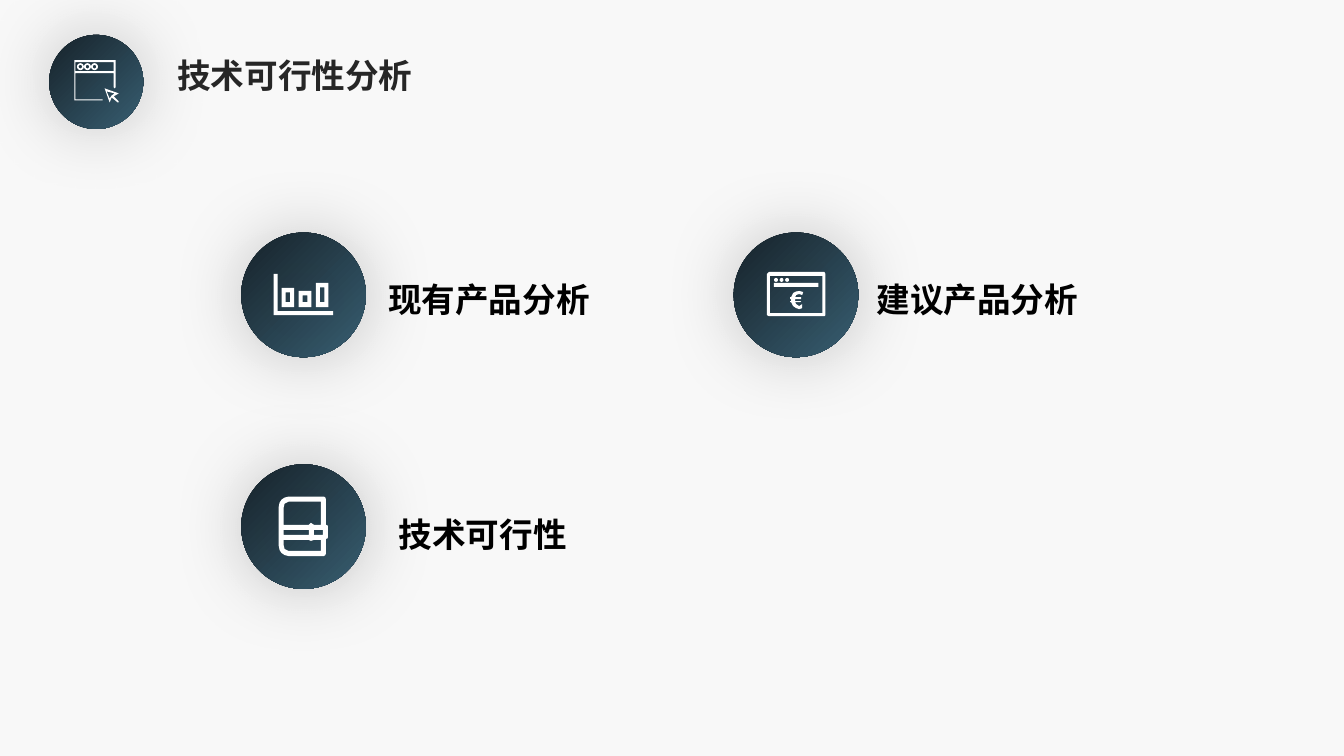
from math import cos, pi, sin

from lxml.etree import SubElement
from pptx import Presentation
from pptx.dml.color import RGBColor
from pptx.enum.shapes import MSO_SHAPE
from pptx.enum.text import MSO_AUTO_SIZE
from pptx.oxml.ns import qn
from pptx.util import Cm, Pt

FONT = "Noto Sans CJK SC"
COLORS = {
    "background": "F8F8F8",
    "disc start": "17232B",
    "disc end": "395F72",
    "icon": "FFFFFF",
    "title": "262626",
    "label": "000000",
    "shadow": "000000",
}
ICON_STEP = Cm(0.0254)  # one unit of the icon outlines


def rectangle(left, top, right, bottom):
    return [(left, top), (right, top), (right, bottom), (left, bottom)]


def circle(x, y, radius, corners=24):
    angles = [2 * pi * index / corners for index in range(corners)]
    return [(x + radius * cos(angle), y + radius * sin(angle)) for angle in angles]


# Outlines are measured from the top left of the disc; inner ones cut holes.
browser_icon = [
    [(25, 25), (66, 25), (66, 52), (65, 53), (64, 52), (64, 38), (26, 38),
     (26, 64), (53, 64), (53, 65), (25, 65)],
    rectangle(26, 27, 64, 36),
    [(55, 53), (69, 58), (64, 61), (69, 66), (69, 67), (68, 67), (62, 62), (60, 67)],
    [(57, 56), (60, 63), (62, 60), (65, 58)],
    *[circle(x, 31.5, radius) for x in (31, 38, 45) for radius in (3.4, 1.7)],
]
chart_icon = [
    [(32, 41), (36, 41), (36, 78), (91, 78), (91, 82), (32, 82)],
]
for bar_left, bar_top in ((40, 55), (57, 58), (74, 50)):
    chart_icon.append(rectangle(bar_left, bar_top, bar_left + 12.5, 74))
    chart_icon.append(rectangle(bar_left + 4, bar_top + 4.5, bar_left + 8.5, 69))
book_icon = [
    [(84, 60), (84, 35), (83.5, 33), (82, 32), (47, 32), (43, 33), (40, 35), (38, 38),
     (37, 43), (37, 80), (38, 85), (40, 88), (43, 90), (47, 91), (82, 91),
     (83.5, 90), (84, 88), (84, 74), (85.5, 73.5), (86, 72), (86, 62), (85.5, 60.5)],
    [(42, 43), (43, 39), (47, 37), (79, 37), (79, 60), (72, 60), (69, 58),
     (67, 60), (42, 60)],
    rectangle(42, 65, 67, 70),
    [(79, 86), (47, 86), (43, 84), (42, 80), (42, 75), (67, 75), (69, 76),
     (72, 75), (79, 75)],
    rectangle(72, 65, 81, 70),
]
euro_icon = [
    [(35, 39), (90, 39), (91, 41), (91, 82), (90, 83), (35, 83), (33, 82), (33, 41)],
    rectangle(36, 43, 88, 80),
    rectangle(40, 50, 84, 54),
    *[circle(x, 47, 1.9) for x in (42, 47.5, 53)],
    [(65, 58), (69, 59), (68, 62), (65, 61), (62, 62), (61, 64), (67, 64), (67, 66),
     (61, 66), (61, 68), (67, 68), (66, 69), (61, 69), (62, 71), (65, 73), (68, 71),
     (68, 75), (65, 76), (62, 75), (59, 73), (57, 69), (56, 69), (56, 68), (57, 68),
     (57, 66), (56, 66), (56, 64), (57, 64), (59, 60), (62, 58.5)],
]

deck = Presentation()
deck.slide_width, deck.slide_height = Cm(33.87), Cm(19.05)
page = deck.slides.add_slide(deck.slide_layouts[6])
page.background.fill.solid()
page.background.fill.fore_color.rgb = RGBColor.from_string(COLORS["background"])

# Left, top and diameter of each disc in centimetres, with its icon
badges = [
    (1.24, 0.88, 2.37, browser_icon),
    (6.08, 5.86, 3.14, chart_icon),
    (6.08, 11.7, 3.14, book_icon),
    (18.49, 5.86, 3.14, euro_icon),
]
for left, top, diameter, outlines in badges:
    badge = page.shapes.add_group_shape()
    disc = badge.shapes.add_shape(
        MSO_SHAPE.OVAL, Cm(left), Cm(top), Cm(diameter), Cm(diameter))
    disc.fill.gradient()
    disc.fill.gradient_angle = 315
    for stop, name in zip(disc.fill.gradient_stops, ("disc start", "disc end")):
        stop.color.rgb = RGBColor.from_string(COLORS[name])

    builder = None
    for outline in outlines:
        points = [(x * ICON_STEP, y * ICON_STEP) for x, y in outline]
        if builder is None:
            builder = badge.shapes.build_freeform(*points[0])
        else:
            builder.move_to(*points[0])
        builder.add_line_segments(points[1:], close=True)
    icon = builder.convert_to_shape(Cm(left), Cm(top))
    icon.fill.solid()
    icon.fill.fore_color.rgb = RGBColor.from_string(COLORS["icon"])

    for shape in (disc, icon):
        shape.line.fill.background()
        shape.shadow.inherit = False
        effects = shape._element.spPr.find(qn("a:effectLst"))
        shadow = SubElement(effects, qn("a:outerShdw"), blurRad=str(Pt(53)),
                            dist="0", dir="0", algn="ctr", rotWithShape="0")
        color = SubElement(shadow, qn("a:srgbClr"), val=COLORS["shadow"])
        SubElement(color, qn("a:alpha"), val="20000")

# Text, left, top, width and height in centimetres, line spacing, colour
texts = [
    ("技术可行性分析", 4.22, 1.27, 9.14, 1.27, 1.0, "title"),
    ("现有产品分析", 9.53, 6.71, 5.69, 1.5, 1.2, "label"),
    ("技术可行性", 9.8, 12.62, 5.69, 1.5, 1.2, "label"),
    ("建议产品分析", 21.84, 6.71, 5.69, 1.5, 1.2, "label"),
]
for text, left, top, width, height, spacing, color_name in texts:
    box = page.shapes.add_textbox(Cm(left), Cm(top), Cm(width), Cm(height))
    box.text_frame.word_wrap = True
    box.text_frame.auto_size = MSO_AUTO_SIZE.SHAPE_TO_FIT_TEXT
    para = box.text_frame.paragraphs[0]
    para.text = text
    para.line_spacing = spacing
    para.font.name = FONT
    para.font.size = Pt(24)
    para.font.bold = True
    para.font.color.rgb = RGBColor.from_string(COLORS[color_name])
    SubElement(para.font._element, qn("a:ea"), typeface=FONT)

deck.save("out.pptx")
